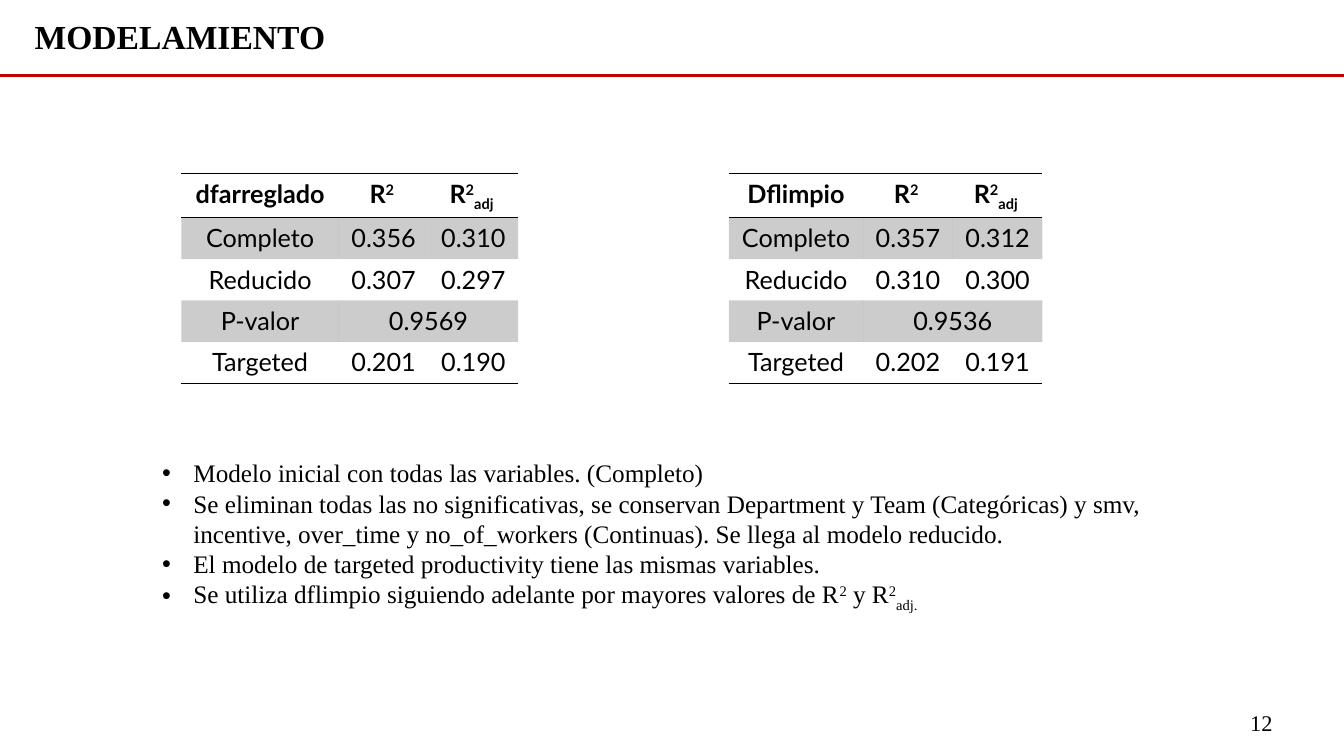
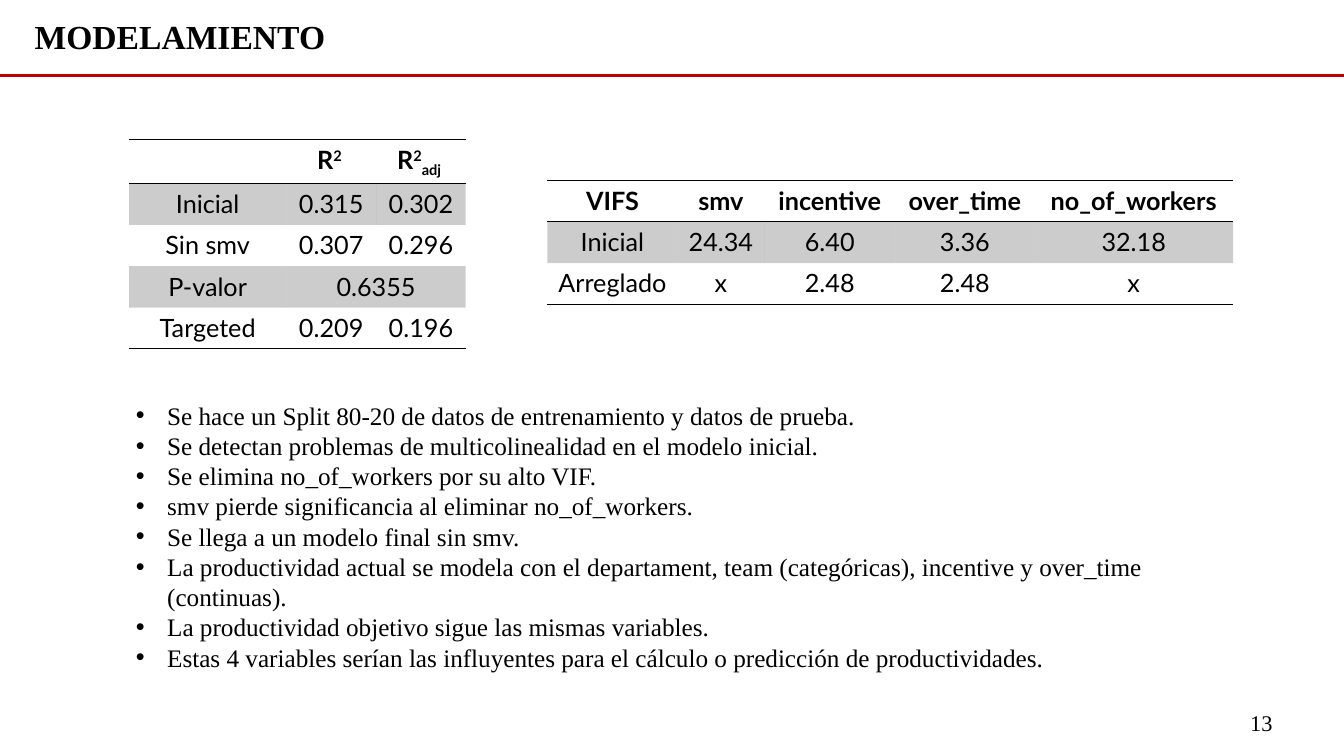
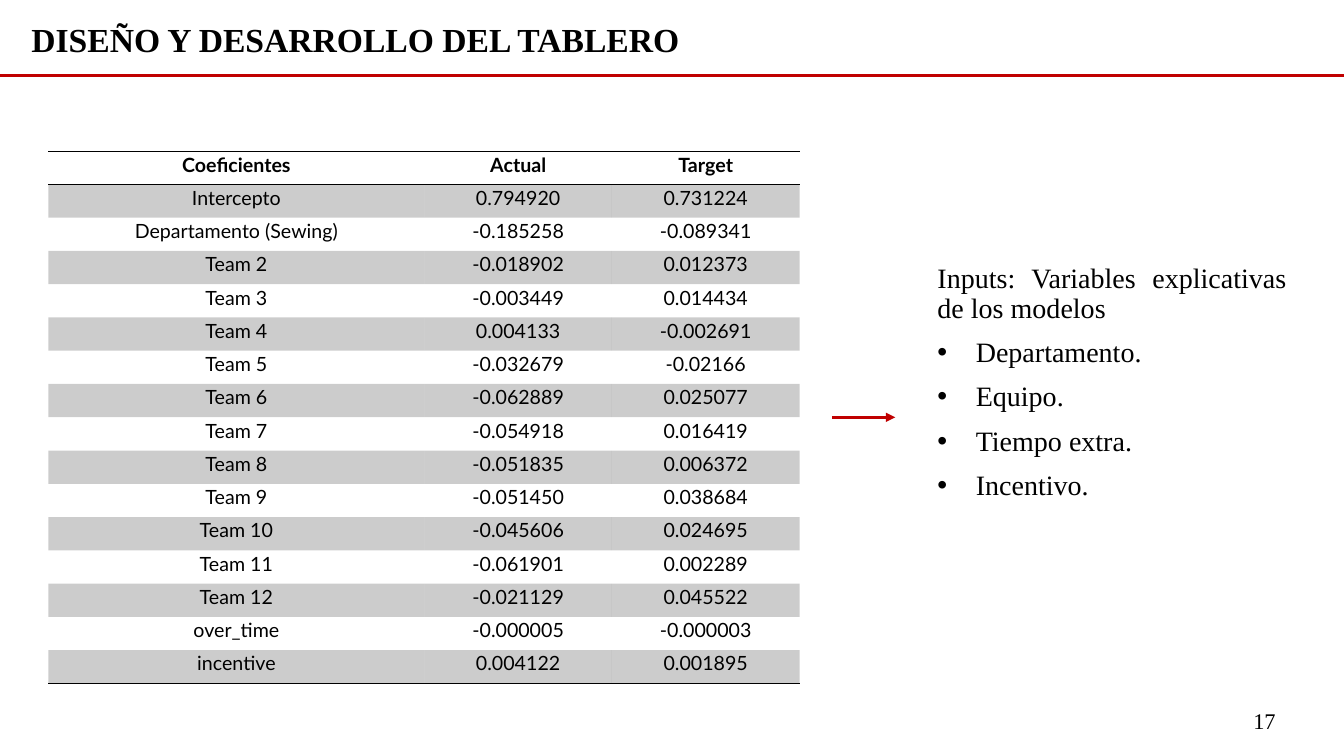
from dataclasses import dataclass

from lxml import etree
from pptx import Presentation
from pptx import util as u
from pptx.dml.color import RGBColor
from pptx.enum import shapes, text
from pptx.oxml import ns

EMU_PER_PX = 9144
SLIDE_SIZE = (1333, 750)
BLACK, RED = "000000", "C00000"
SERIF, SANS = "Times New Roman", "Lato"
BASELINES = {"^": "30000", "~": "-25000"}
PLAIN_TABLE_STYLE = "{2D5ABB26-0587-4C30-8999-92F81FD0307C}"
R2, R2_ADJ = "R|^2 ", "R|^2|~adj "


@dataclass(frozen=True)
class Box:
    left: int
    top: int
    width: int
    height: int


@dataclass(frozen=True)
class Grid:
    left: int
    top: int
    columns: tuple[int, ...]
    rows: list[tuple[str, ...]]
    row_height: int = 41
    size: int = 18
    compact: bool = False


@dataclass(frozen=True)
class Notes:
    box: Box
    lines: list[str]
    lead: str = ""
    size: int = 18
    indent: int = 31
    spacing: float | None = None
    before: int = 0
    align: text.PP_ALIGN = text.PP_ALIGN.LEFT


@dataclass(frozen=True)
class Page:
    number: str
    number_box: Box
    title: str
    title_box: Box
    grids: list[Grid]
    notes: Notes
    arrow: tuple[int, int, int] | None = None


def px(length: int) -> u.Emu:
    return u.Emu(length * EMU_PER_PX)


def place(box: Box) -> tuple[u.Emu, ...]:
    return px(box.left), px(box.top), px(box.width), px(box.height)


def colour(code: str) -> RGBColor:
    return RGBColor.from_string(code)


def add(parent, tag: str, **attributes: str):
    return etree.SubElement(parent, ns.qn(tag), attributes)


def write(paragraph, marked: str, size: int, face: str = SERIF, bold: bool = False) -> None:
    for piece in filter(None, marked.split("|")):
        baseline = BASELINES.get(piece[0])
        run = paragraph.add_run()
        run.text = piece[1:] if baseline else piece
        if baseline:
            run.font._element.set("baseline", baseline)
    font = paragraph.font
    font.name, font.size, font.bold = face, u.Pt(size), bold
    font.color.rgb = colour(BLACK)


def add_bullet(paragraph, indent: int) -> None:
    properties = paragraph._p.get_or_add_pPr()
    properties.set("marL", str(px(indent)))
    properties.set("indent", str(-px(indent)))
    add(properties, "a:buFont", typeface="Arial")
    add(properties, "a:buChar", char="•")


def add_line(slide, start: int, end: int, y: int, arrow: bool = False) -> None:
    line = slide.shapes.add_connector(
        shapes.MSO_CONNECTOR.STRAIGHT, px(start), px(y), px(end), px(y))
    line.line.color.rgb = colour(RED)
    line.line.width = u.Pt(2.25)
    if arrow:
        add(line.line._get_or_add_ln(), "a:tailEnd", type="triangle")
    add(line._element.spPr, "a:effectLst")


def add_title(slide, title: str, box: Box) -> None:
    heading = slide.shapes.title
    heading.left, heading.top, heading.width, heading.height = place(box)
    frame = heading.text_frame
    frame.auto_size = text.MSO_AUTO_SIZE.NONE
    frame.vertical_anchor = text.MSO_ANCHOR.BOTTOM
    paragraph = frame.paragraphs[0]
    paragraph.alignment = text.PP_ALIGN.CENTER
    paragraph.line_spacing = 0.9
    write(paragraph, title, 24, bold=True)


def add_number(slide, number: str, box: Box) -> None:
    frame = slide.shapes.add_textbox(*place(box)).text_frame
    frame.word_wrap = True
    frame.vertical_anchor = text.MSO_ANCHOR.MIDDLE
    frame.paragraphs[0].alignment = text.PP_ALIGN.RIGHT
    write(frame.paragraphs[0], number, 16)


def add_notes(slide, notes: Notes) -> None:
    frame = slide.shapes.add_textbox(*place(notes.box)).text_frame
    frame.word_wrap = True
    entries = [(notes.lead, False)] if notes.lead else []
    entries += [(line, True) for line in notes.lines]
    for index, (line, bulleted) in enumerate(entries):
        paragraph = frame.add_paragraph() if index else frame.paragraphs[0]
        paragraph.alignment = notes.align
        if notes.spacing:
            paragraph.line_spacing = notes.spacing
        if index and notes.before:
            paragraph.space_before = u.Pt(notes.before)
        if bulleted:
            add_bullet(paragraph, notes.indent)
        write(paragraph, line, notes.size)


def add_border(cell, side: str) -> None:
    border = add(cell._tc.get_or_add_tcPr(), side, w=str(u.Pt(1)))
    add(add(border, "a:solidFill"), "a:srgbClr", val=BLACK)


def shade(cell) -> None:
    cell.fill.solid()
    cell.fill.fore_color.rgb = colour(BLACK)
    tint = cell._tc.tcPr.find(ns.qn("a:solidFill")).find(ns.qn("a:srgbClr"))
    add(tint, "a:alpha", val="20000")


def format_cell(cell, content: str, row: int, grid: Grid) -> None:
    if row == 0:
        add_border(cell, "a:lnT")
    if row in (0, len(grid.rows) - 1):
        add_border(cell, "a:lnB")
    if row % 2:
        shade(cell)
    else:
        cell.fill.background()
    paragraph = cell.text_frame.paragraphs[0]
    paragraph.alignment = text.PP_ALIGN.CENTER
    if grid.compact:
        cell.margin_left = cell.margin_right = px(7)
        cell.margin_top = cell.margin_bottom = 0
        paragraph.line_spacing = 1.07
        paragraph.space_after = u.Pt(8)
    write(paragraph, content, grid.size, SANS, bold=row == 0)


def add_grid(slide, grid: Grid) -> None:
    box = Box(grid.left, grid.top, sum(grid.columns), grid.row_height * len(grid.rows))
    table = slide.shapes.add_table(len(grid.rows), len(grid.columns), *place(box)).table
    table.first_row = table.horz_banding = False
    table._tbl.tblPr.find(ns.qn("a:tableStyleId")).text = PLAIN_TABLE_STYLE
    for column, width in zip(table.columns, grid.columns):
        column.width = px(width)
    last = len(grid.columns) - 1
    for row, contents in enumerate(grid.rows):
        table.rows[row].height = px(grid.row_height)
        if len(contents) <= last:
            table.cell(row, len(contents) - 1).merge(table.cell(row, last))
        for column, content in enumerate(contents):
            format_cell(table.cell(row, column), content, row, grid)


def add_page(deck, page: Page) -> None:
    slide = deck.slides.add_slide(deck.slide_layouts[5])
    add_number(slide, page.number, page.number_box)
    add_line(slide, 0, SLIDE_SIZE[0], 75)
    add_title(slide, page.title, page.title_box)
    for grid in page.grids:
        add_grid(slide, grid)
    if page.arrow:
        add_line(slide, *page.arrow, arrow=True)
    add_notes(slide, page.notes)


MODEL_TITLE = "MODELAMIENTO"
MODEL_TITLE_BOX = Box(-4, 7, 365, 54)
MODEL_NUMBER_BOX = Box(1206, 695, 66, 43)

PAGES = [
    Page(
        "12", MODEL_NUMBER_BOX, MODEL_TITLE, MODEL_TITLE_BOX,
        [
            Grid(180, 172, (156, 89, 89), [
                ("dfarreglado", R2, R2_ADJ),
                ("Completo", "0.356", "0.310"),
                ("Reducido", "0.307", "0.297"),
                ("P-valor", "0.9569"),
                ("Targeted", "0.201", "0.190"),
            ]),
            Grid(723, 172, (133, 89, 89), [
                ("Dflimpio", R2, R2_ADJ),
                ("Completo", "0.357", "0.312"),
                ("Reducido", "0.310", "0.300"),
                ("P-valor", "0.9536"),
                ("Targeted", "0.202", "0.191"),
            ]),
        ],
        Notes(Box(151, 449, 1031, 162), [
            "Modelo inicial con todas las variables. (Completo)",
            "Se eliminan todas las no significativas, se conservan Department y Team "
            "(Categóricas) y smv, incentive, over_time y no_of_workers (Continuas). "
            "Se llega al modelo reducido.",
            "El modelo de targeted productivity tiene las mismas variables.",
            "Se utiliza dflimpio siguiendo adelante por mayores valores de "
            "R|^2| y R|^2|~adj.",
        ]),
    ),
    Page(
        "13", MODEL_NUMBER_BOX, MODEL_TITLE, MODEL_TITLE_BOX,
        [
            Grid(128, 138, (156, 89, 89), [
                ("", R2, R2_ADJ),
                ("Inicial", "0.315", "0.302"),
                ("Sin smv", "0.307", "0.296"),
                ("P-valor", "0.6355"),
                ("Targeted", "0.209", "0.196"),
            ]),
            Grid(543, 179, (129, 86, 130, 138, 197), [
                ("VIFS", "smv", "incentive", "over_time", "no_of_workers"),
                ("Inicial", "24.34", "6.40", "3.36", "32.18"),
                ("Arreglado", "x", "2.48", "2.48", "x"),
            ]),
        ],
        Notes(Box(125, 392, 1083, 283), [
            "Se hace un Split 80-20 de datos de entrenamiento y datos de prueba.",
            "Se detectan problemas de multicolinealidad en el modelo inicial.",
            "Se elimina no_of_workers por su alto VIF.",
            "smv pierde significancia al eliminar no_of_workers.",
            "Se llega a un modelo final sin smv.",
            "La productividad actual se modela con el departament, team (categóricas), "
            "incentive y over_time (continuas).",
            "La productividad objetivo sigue las mismas variables.",
            "Estas 4 variables serían las influyentes para el cálculo o predicción "
            "de productividades.",
        ]),
    ),
    Page(
        "17", Box(1206, 695, 69, 39),
        "DISEÑO Y DESARROLLO DEL TABLERO", Box(10, 10, 685, 54),
        [
            Grid(48, 150, (373, 186, 186), [
                ("Coeficientes", "Actual", "Target"),
                ("Intercepto", "0.794920", "0.731224"),
                ("Departamento (Sewing)", "-0.185258", "-0.089341"),
                ("Team 2", "-0.018902", "0.012373"),
                ("Team 3", "-0.003449", "0.014434"),
                ("Team 4", "0.004133", "-0.002691"),
                ("Team 5", "-0.032679", "-0.02166"),
                ("Team 6", "-0.062889", "0.025077"),
                ("Team 7", "-0.054918", "0.016419"),
                ("Team 8", "-0.051835", "0.006372"),
                ("Team 9", "-0.051450", "0.038684"),
                ("Team 10", "-0.045606", "0.024695"),
                ("Team 11", "-0.061901", "0.002289"),
                ("Team 12", "-0.021129", "0.045522"),
                ("over_time", "-0.000005", "-0.000003"),
                ("incentive", "0.004122", "0.001895"),
            ], row_height=33, size=14, compact=True),
        ],
        Notes(
            Box(920, 257, 366, 262),
            ["Departamento.", "Equipo.", "Tiempo extra.", "Incentivo."],
            lead="Inputs: Variables explicativas de los modelos",
            size=20, indent=38, spacing=0.9, before=10, align=text.PP_ALIGN.JUSTIFY,
        ),
        arrow=(825, 888, 414),
    ),
]


def main() -> None:
    deck = Presentation()
    deck.slide_width, deck.slide_height = map(px, SLIDE_SIZE)
    for page in PAGES:
        add_page(deck, page)
    deck.save("out.pptx")


if __name__ == "__main__":
    main()
